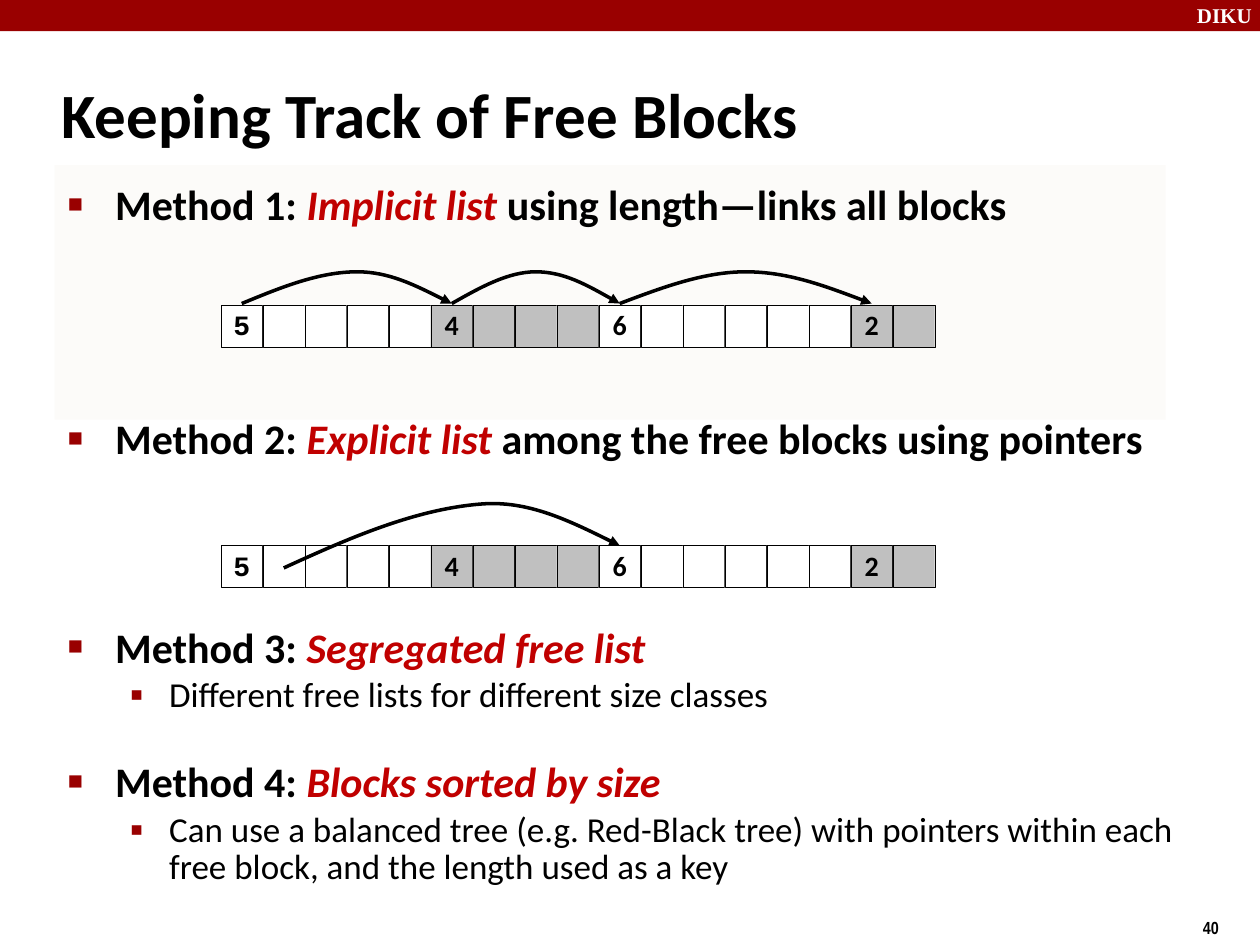
import pptx
import pptx.util
import pptx.dml.color
import pptx.enum.shapes
import pptx.enum.text
import pptx.oxml
import pptx.oxml.ns
from pptx.util import Cm

RGBColor = pptx.dml.color.RGBColor
ALIGN = pptx.enum.text.PP_ALIGN
ANCHOR = pptx.enum.text.MSO_ANCHOR
BLACK = RGBColor(0x00, 0x00, 0x00)
WHITE = RGBColor(0xFF, 0xFF, 0xFF)
MAROON = RGBColor(0x99, 0x00, 0x00)
RED = RGBColor(0xC0, 0x00, 0x00)
CREAM = RGBColor(0xFC, 0xFB, 0xF9)
GREY = RGBColor(0xC0, 0xC0, 0xC0)

CELL = 2.54 / 3
ROW_LEFT = 4.45
BLOCKS = [(5, WHITE), (4, GREY), (6, WHITE), (2, GREY)]
HOP_RISE = [0, 0.32, 0.64, 0.64, 0.64, 0.32, 0]
POINTER_RISE = [-0.45, 0.16, 0.74, 0.84, 0.91, 0.46, 0]


def add_span(para, text, font="Calibri", size=24, color=BLACK, bold=True, italic=False):
    span = para.add_run()
    span.text = text
    span.font.name = font
    span.font.size = pptx.util.Pt(size)
    span.font.color.rgb = color
    span.font.bold = bold
    span.font.italic = italic


def add_element(parent, tag, **attributes):
    child = pptx.oxml.parse_xml(f"<a:{tag} {pptx.oxml.ns.nsdecls('a')}/>")
    for name, value in attributes.items():
        child.set(name, str(value))
    parent.append(child)
    return child


class SlideBuilder:
    """Holds the style and the slide being drawn."""

    thin_line = pptx.util.Pt(0.25)
    arrow_line = pptx.util.Pt(2)

    def __init__(self, page):
        self.page = page

    def rectangle(self, left, top, width, height, fill, outlined=False):
        box = self.page.shapes.add_shape(
            pptx.enum.shapes.MSO_SHAPE.RECTANGLE,
            Cm(left), Cm(top), Cm(width), Cm(height))
        box.shadow.inherit = False
        box.fill.solid()
        box.fill.fore_color.rgb = fill
        if outlined:
            box.line.color.rgb = BLACK
            box.line.width = self.thin_line
        else:
            box.line.fill.background()
        return box

    def textbox(self, left, top, width, height, anchor=ANCHOR.TOP):
        box = self.page.shapes.add_textbox(Cm(left), Cm(top), Cm(width), Cm(height))
        box.text_frame.word_wrap = True
        box.text_frame.vertical_anchor = anchor
        return box.text_frame

    def label(self, left, top, width, height, text, anchor=ANCHOR.TOP, **style):
        frame = self.textbox(left, top, width, height, anchor)
        add_span(frame.paragraphs[0], text, **style)

    def bullet(self, para, level, space, spacing):
        """Level 0 is a method heading, level 1 a detail."""
        margin, hanging, mark, percent = [
            (0.97, 0.95, "■", 60), (2.06, 0.79, "▪", 110)][level]
        para.level = level
        para.space_before = pptx.util.Pt(space)
        para.line_spacing = spacing
        properties = para._p.get_or_add_pPr()
        properties.set("marL", str(Cm(margin)))
        properties.set("indent", str(-Cm(hanging)))
        color = add_element(properties, "buClr")
        add_element(color, "srgbClr", val=MAROON)
        add_element(properties, "buSzPct", val=percent * 1000)
        add_element(properties, "buFont", typeface="Arial")
        add_element(properties, "buChar", char=mark)

    def memory_row(self, top):
        """Each block is as many cells long as its header says."""
        position = 0
        for length, fill in BLOCKS:
            for offset in range(length):
                box = self.rectangle(ROW_LEFT + position * CELL, top, CELL, CELL,
                                     fill, outlined=True)
                position += 1
                if offset == 0:
                    frame = box.text_frame
                    frame.word_wrap = False
                    frame.vertical_anchor = ANCHOR.MIDDLE
                    para = frame.paragraphs[0]
                    para.alignment = ALIGN.CENTER
                    font = "Courier New" if position == 1 else "Calibri"
                    para.line_spacing = 0.94 if position == 1 else 0.98
                    add_span(para, str(length), font=font, size=16)

    def arc(self, first, last, base, rises, peak=0.5):
        """Two cubic curves from the middle of one cell to another."""
        start = ROW_LEFT + (first + 0.5) * CELL
        width = (last - first) * CELL
        steps = [peak * i / 3 for i in range(4)]
        steps += [peak + (1 - peak) * i / 3 for i in range(1, 4)]
        points = [(Cm(start + width * step), Cm(base - rise))
                  for step, rise in zip(steps, rises)]
        builder = self.page.shapes.build_freeform(*points[0])
        builder.add_line_segments(points[1:], close=False)
        curve = builder.convert_to_shape()
        curve.shadow.inherit = False
        curve.fill.background()
        curve.line.color.rgb = BLACK
        curve.line.width = self.arrow_line
        add_element(curve.line._get_or_add_ln(), "tailEnd", type="triangle")

        # Turn each three straight segments into one cubic curve
        outline = curve._element.find(".//" + pptx.oxml.ns.qn("a:path"))
        segments = outline.findall(pptx.oxml.ns.qn("a:lnTo"))
        for i in range(0, len(segments), 3):
            cubic = add_element(outline, "cubicBezTo")
            for segment in segments[i:i + 3]:
                cubic.append(segment[0])
                outline.remove(segment)


def main():
    deck = pptx.Presentation()
    deck.slide_width, deck.slide_height = Cm(25.4), Cm(19.05)
    page = deck.slides.add_slide(deck.slide_layouts[6])
    slide = SlideBuilder(page)

    # Header bar, page number and title
    slide.rectangle(0, 0, 25.4, 0.63, MAROON)
    slide.label(23.88, -0.08, 1.7, 0.76, "DIKU",
                font="Times New Roman", size=12, color=WHITE)
    slide.label(24, 18.36, 1.9, 0.74, "40", font="Arial Narrow", size=10)
    slide.rectangle(1.1, 3.33, 22.4, 5.13, CREAM)
    slide.label(0.99, 1.22, 21.08, 2.11, "Keeping Track of Free Blocks",
                anchor=ANCHOR.MIDDLE, size=36)

    # Methods: level, space before, line spacing, plain, emphasised, plain
    methods = [
        (0, 0, 1.0, "Method 1: ", "Implicit list ", "using length—links all blocks"),
        (0, 105, 1.0, "Method 2: ", "Explicit list ",
         "among the free blocks using pointers"),
        (0, 95, 0.83, "Method 3: ", "Segregated free list", ""),
        (1, 4, 0.88, "Different free lists for different size classes", "", ""),
        (0, 28, 0.83, "Method 4: ", "Blocks sorted by size", ""),
        (1, 4, 0.88, "Can use a balanced tree (e.g. Red-Black tree) with pointers "
         "within each free block, and the length used as a key", "", ""),
    ]
    frame = slide.textbox(1.1, 3.48, 23.04, 14.94)
    for index, (level, space, spacing, *texts) in enumerate(methods):
        para = frame.add_paragraph() if index else frame.paragraphs[0]
        slide.bullet(para, level, space, spacing)
        for text, emphasised in zip(texts, (False, True, False)):
            if text:
                add_span(para, text, size=20 if level else 24, bold=level == 0,
                         color=RED if emphasised else BLACK, italic=emphasised)

    # Implicit list: every block leads to the next
    slide.memory_row(6.15)
    for first, last, peak in [(0, 5, 0.55), (5, 9, 0.5), (9, 15, 0.5)]:
        slide.arc(first, last, 6.12, HOP_RISE, peak)

    # Explicit list: a pointer between free blocks
    slide.memory_row(11)
    slide.arc(1, 9, 11, POINTER_RISE, 0.59)

    deck.save("out.pptx")


if __name__ == "__main__":
    main()
